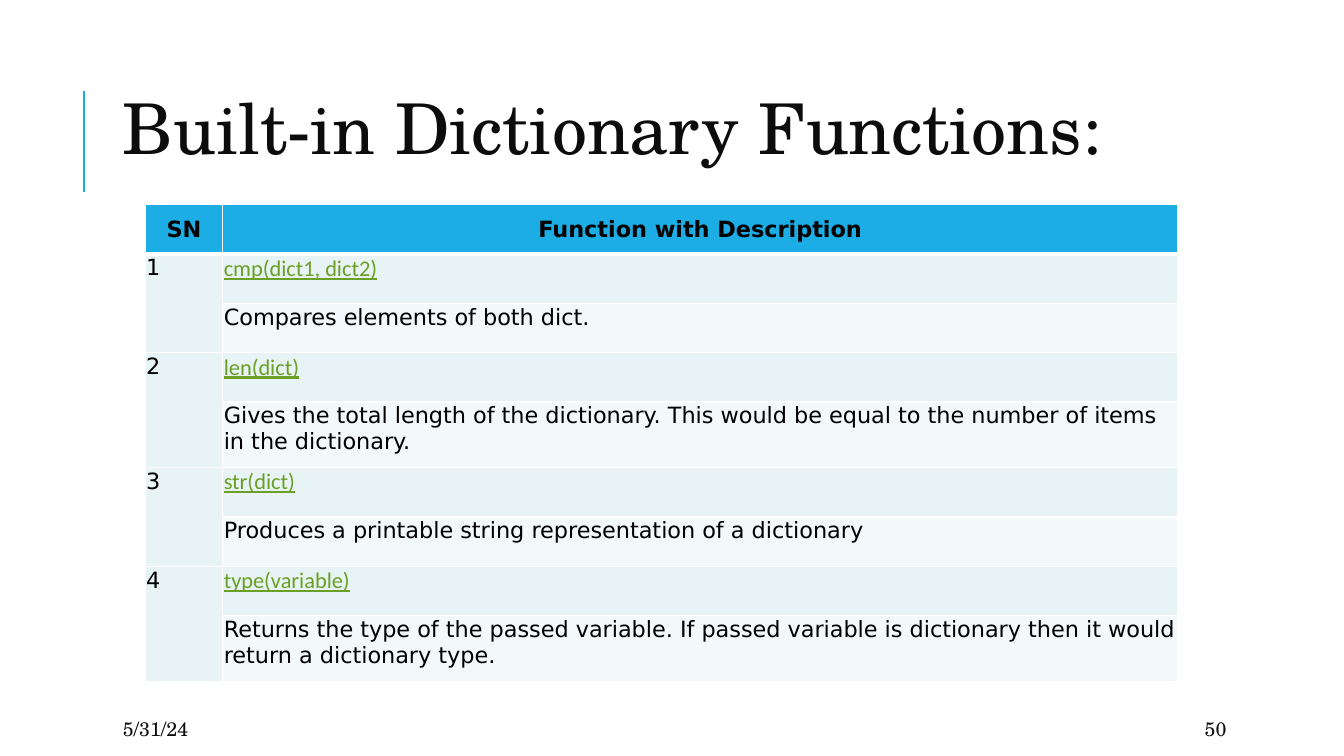
from dataclasses import dataclass

from lxml import etree
from pptx import Presentation
from pptx import util as u
from pptx.dml.color import RGBColor
from pptx.enum import shapes, text
from pptx.oxml.ns import qn

PX = 9144


@dataclass(frozen=True)
class Theme:
    accent: str = "1CADE4"
    ink: str = "0C0C0C"
    black: str = "000000"
    link: str = "6B9F25"
    rule: str = "FFFFFF"
    name_fill: str = "E7F3F4"
    description_fill: str = "F3F9FA"
    serif: str = "TeX Gyre Schola"
    sans: str = "DejaVu Sans"
    link_font: str = "Calibri"
    title_size: int = 50
    footer_size: int = 14
    table_size: int = 16


T = Theme()

FUNCTIONS = [
    ("cmp(dict1, dict2)", "Compares elements of both dict."),
    ("len(dict)", "Gives the total length of the dictionary. "
     "This would be equal to the number of items in the dictionary."),
    ("str(dict)", "Produces a printable string representation of a dictionary"),
    ("type(variable)", "Returns the type of the passed variable. "
     "If passed variable is dictionary then it would return a dictionary type."),
]


def px(n):
    return u.Emu(n * PX)


def add_run(p, words, font, size, color, bold=False, underline=False):
    r = p.add_run()
    r.text = words
    r.font.name = font
    r.font.size = u.Pt(size)
    r.font.color.rgb = RGBColor.from_string(color)
    r.font.bold = bold
    r.font.underline = underline


def add_text(s, box, words, size, spacing=1.0):
    tf = s.shapes.add_textbox(*map(px, box)).text_frame
    tf.word_wrap = True
    tf.vertical_anchor = text.MSO_ANCHOR.MIDDLE
    tf.margin_left = tf.margin_right = px(10)
    tf.margin_top = tf.margin_bottom = px(5)
    p = tf.paragraphs[0]
    p.line_spacing = spacing
    add_run(p, words, T.serif, size, T.ink)


def add_line(s, x1, y1, x2, y2):
    sp = s.shapes.add_connector(
        shapes.MSO_CONNECTOR.STRAIGHT, px(x1), px(y1), px(x2), px(y2))
    sp.line.color.rgb = RGBColor.from_string(T.accent)
    sp.line.width = u.Pt(1.5)
    etree.SubElement(sp.element.spPr, qn("a:effectLst"))


def set_borders(cell, top, bottom):
    tcPr = cell._tc.get_or_add_tcPr()
    widths = {"a:lnL": 1, "a:lnR": 1, "a:lnT": top, "a:lnB": bottom}
    for i, (side, width) in enumerate(widths.items()):
        ln = etree.Element(qn(side), w=str(u.Pt(width)))
        fill = etree.SubElement(ln, qn("a:solidFill"))
        etree.SubElement(fill, qn("a:srgbClr"), val=T.rule)
        tcPr.insert(i, ln)


def style_cell(cell, fill, top=1, bottom=1):
    cell.margin_left = cell.margin_right = cell.margin_top = px(1)
    cell.margin_bottom = 0
    cell.fill.solid()
    cell.fill.fore_color.rgb = RGBColor.from_string(fill)
    set_borders(cell, top, bottom)


def write_cell(cell, words, font=T.sans, color=T.black, **style):
    add_run(cell.text_frame.paragraphs[0], words, font, T.table_size, color, **style)


def add_header(table):
    for cell, words in zip(table.rows[0].cells, ("SN", "Function with Description")):
        style_cell(cell, T.accent, bottom=3)
        cell.vertical_anchor = text.MSO_ANCHOR.MIDDLE
        cell.text_frame.paragraphs[0].alignment = text.PP_ALIGN.CENTER
        write_cell(cell, words, bold=True)


def add_function(table, number, name, description):
    row = 2 * number - 1
    top = 3 if number == 1 else 1
    for col in range(2):
        style_cell(table.cell(row, col), T.name_fill, top=top)
    style_cell(table.cell(row + 1, 0), T.name_fill)
    style_cell(table.cell(row + 1, 1), T.description_fill)
    table.cell(row, 0).merge(table.cell(row + 1, 0))
    write_cell(table.cell(row, 0), str(number))
    write_cell(table.cell(row, 1), name, T.link_font, T.link, underline=True)
    write_cell(table.cell(row + 1, 1), description)


def add_function_table(s, x, y, widths, row_height, tall_row_height):
    heights = [row_height]
    for _, description in FUNCTIONS:
        wraps = len(description) > 80
        heights += [row_height, tall_row_height if wraps else row_height]
    table = s.shapes.add_table(
        len(heights), len(widths), px(x), px(y),
        px(sum(widths)), px(sum(heights))).table
    for column, width in zip(table.columns, widths):
        column.width = px(width)
    for row, height in zip(table.rows, heights):
        row.height = px(height)
    add_header(table)
    for number, (name, description) in enumerate(FUNCTIONS, 1):
        add_function(table, number, name, description)


def main():
    prs = Presentation()
    prs.slide_width, prs.slide_height = px(1333), px(750)
    s = prs.slides.add_slide(prs.slide_layouts[6])
    add_line(s, 83, 190, 83, 90)
    add_text(s, (112, 64, 1106, 139), "Built-in Dictionary Functions:",
             T.title_size, spacing=0.8)
    add_text(s, (112, 708, 236, 30), "5/31/24", T.footer_size)
    add_text(s, (1185, 708, 106, 30), "50", T.footer_size)
    add_function_table(s, 144, 203, (77, 947), 49, 65)
    prs.save("out.pptx")


if __name__ == "__main__":
    main()
